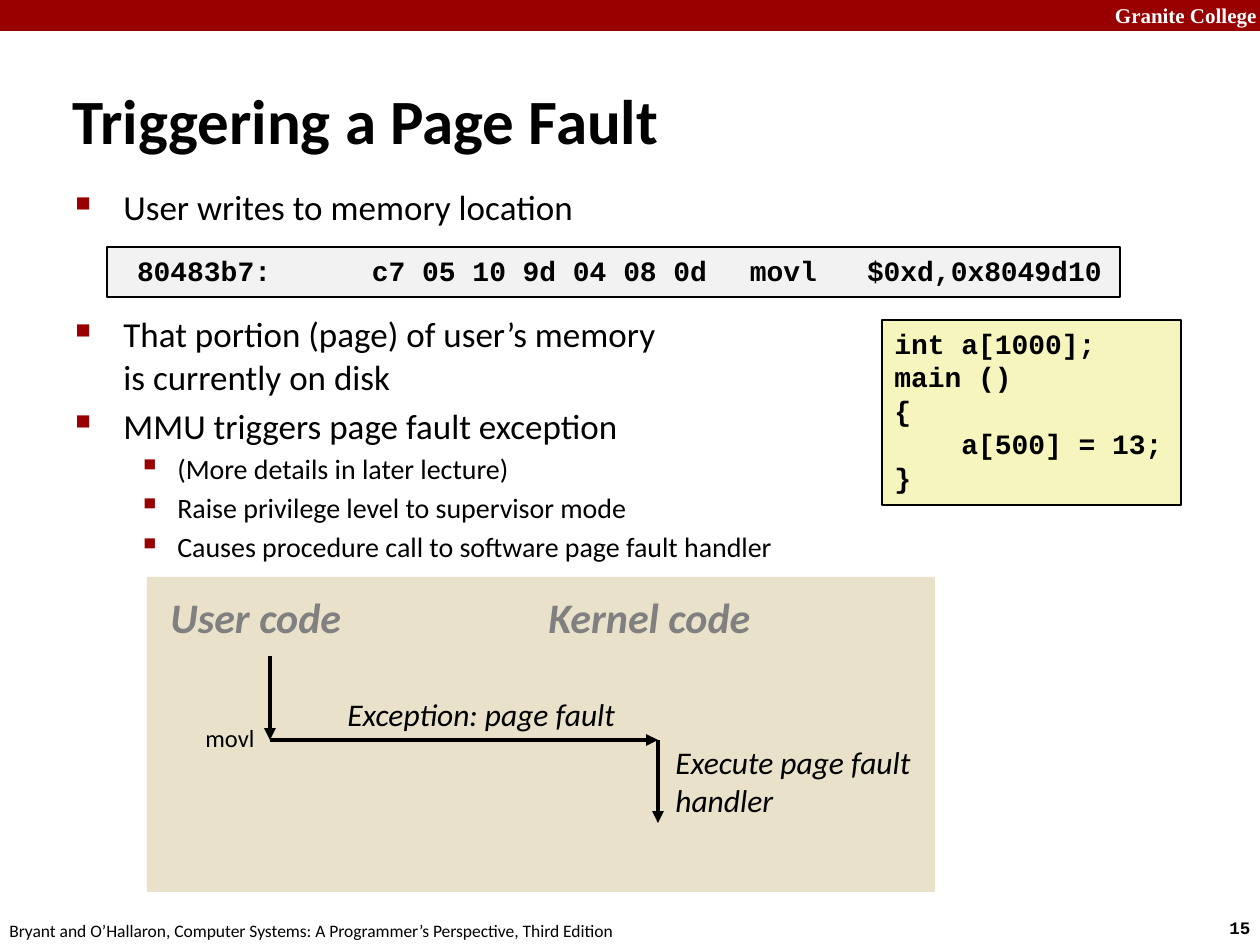
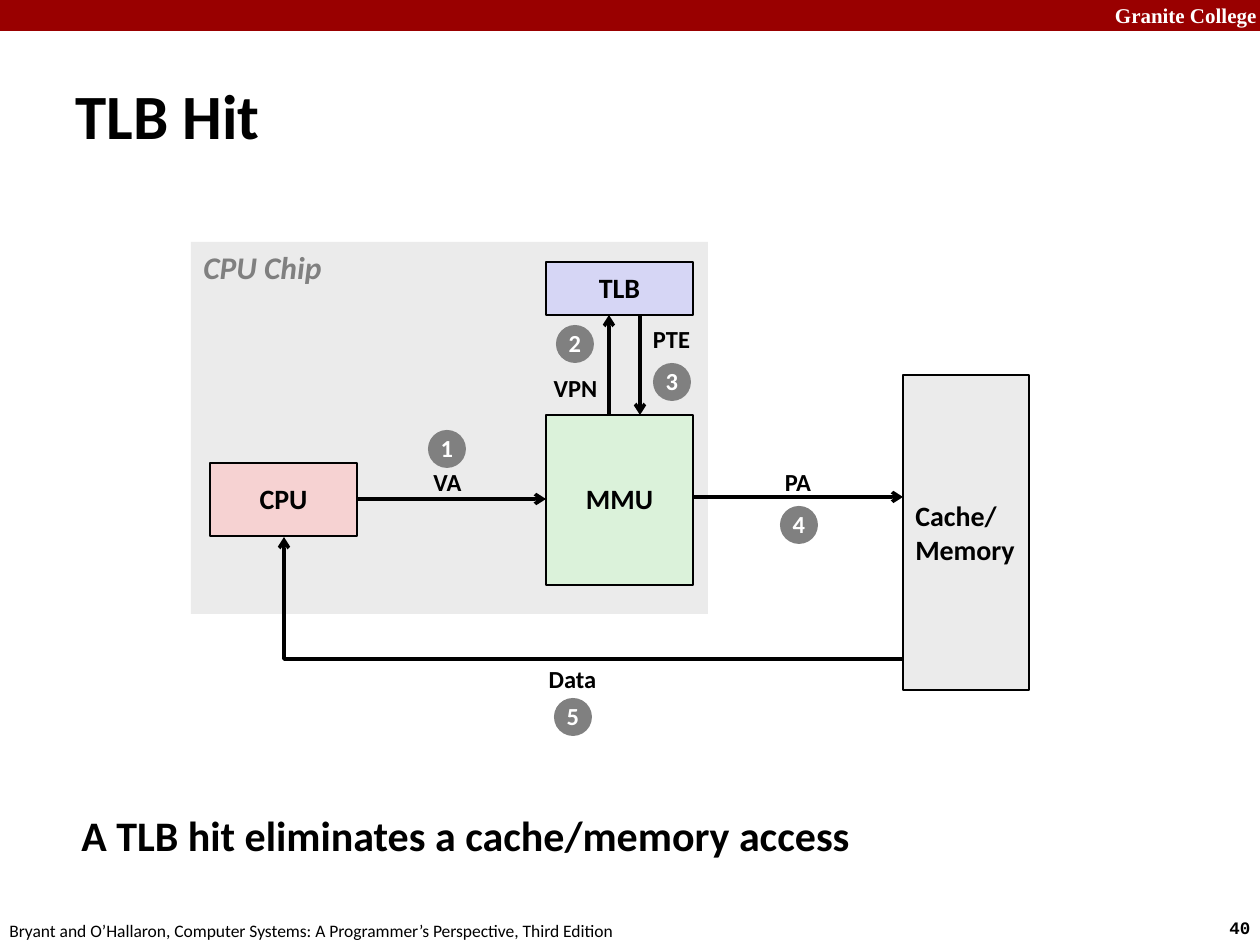
from dataclasses import dataclass
from typing import NamedTuple

from lxml.etree import SubElement
from pptx import Presentation
from pptx.dml.color import RGBColor
from pptx.enum.shapes import MSO_CONNECTOR as Conn, MSO_SHAPE as Form
from pptx.enum.text import MSO_ANCHOR as Anchor, PP_ALIGN as Align
from pptx.oxml.ns import qn
from pptx.util import Emu, Pt

HUES = {
    "red": "990000", "white": "FFFFFF", "black": "000000", "gray": "808080",
    "chip": "EBEBEB", "sand": "E9E1C9", "cream": "F6F5BD", "pale": "F2F2F2",
    "green": "DBF2DA", "pink": "F6D2D2", "blue": "D6D6F5",
}
SANS, MONO, SERIF = "Calibri", "Courier New", "Times New Roman"
FONTS = {
    "title": dict(name=SANS, size=Pt(36), bold=True),
    "brand": dict(name=SERIF, size=Pt(12), bold=True),
    "page": dict(name=MONO, size=Pt(10), bold=True),
    "foot": dict(name=SANS, size=Pt(10)),
    "point": dict(name=SANS, size=Pt(20)),
    "sub": dict(name=SANS, size=Pt(16)),
    "code": dict(name=MONO, size=Pt(16), bold=True),
    "zone": dict(name=SANS, size=Pt(24), bold=True, italic=True),
    "chip": dict(name=SANS, size=Pt(18), bold=True, italic=True),
    "step": dict(name=SANS, size=Pt(18), italic=True),
    "small": dict(name=SANS, size=Pt(14)),
    "tag": dict(name=SANS, size=Pt(14), bold=True),
    "part": dict(name=SANS, size=Pt(16), bold=True),
    "claim": dict(name=SANS, size=Pt(24), bold=True),
}
WIDE, HIGH = 1260, 945
PAD, DOT = 13, 38


@dataclass(frozen=True)
class Box:
    x: int
    y: int
    w: int
    h: int
    text: str = ""
    font: str = "part"
    ink: str = "black"
    fill: str = ""
    line: float = 0
    form: Form = Form.RECTANGLE
    mid: bool = False
    center: bool = False
    wrap: bool = False


class Arrow(NamedTuple):
    x1: int
    y1: int
    x2: int
    y2: int
    head: str = "arrow"
    width: float = 2


class Point(NamedTuple):
    text: str
    level: int = 0
    gap: float = 4


class Level(NamedTuple):
    font: str
    left: int
    hang: int
    mark: str
    scale: int


LEVELS = (Level("point", 48, 48, "■", 60), Level("sub", 102, 39, "▪", 110))


def px(n: int) -> Emu:
    return Emu(round(n * 914400 / 126))


def hue(name: str) -> RGBColor:
    return RGBColor.from_string(HUES[name])


def style(para, font: str, ink: str) -> None:
    for run in para.runs:
        for key, value in FONTS[font].items():
            setattr(run.font, key, value)
        run.font.color.rgb = hue(ink)


def draw(slide, box: Box):
    """Add a filled shape, or a text box when there is no fill."""
    place = [px(n) for n in (box.x, box.y, box.w, box.h)]
    if box.fill:
        shape = slide.shapes.add_shape(box.form, *place)
        shape.shadow.inherit = False
        shape.fill.solid()
        shape.fill.fore_color.rgb = hue(box.fill)
        if box.line:
            shape.line.color.rgb = hue("black")
            shape.line.width = Pt(box.line)
        else:
            shape.line.fill.background()
    else:
        shape = slide.shapes.add_textbox(*place)
    frame = shape.text_frame
    frame.word_wrap = box.wrap
    frame.vertical_anchor = Anchor.MIDDLE if box.mid else Anchor.TOP
    if box.text:
        frame.text = box.text
    for para in frame.paragraphs:
        para.alignment = Align.CENTER if box.center else Align.LEFT
        if box.center:
            para.line_spacing = 0.98
        style(para, box.font, box.ink)
    return shape


def link(slide, arrow: Arrow, kind: Conn = Conn.STRAIGHT):
    ends = [px(n) for n in arrow[:4]]
    line = slide.shapes.add_connector(kind, *ends)
    line.line.color.rgb = hue("black")
    line.line.width = Pt(arrow.width)
    SubElement(line.line._get_or_add_ln(), qn("a:tailEnd"), type=arrow.head)
    SubElement(line._element.spPr, qn("a:effectLst"))
    return line


def bend(slide, arrow: Arrow) -> None:
    """Draw a one-corner arrow that runs left from the lower right, then up."""
    line = link(slide, arrow, Conn.ELBOW)
    props = line._element.spPr
    props.find(qn("a:xfrm")).set("rot", "10800000")
    props.find(qn("a:prstGeom")).set("prst", "bentConnector2")


def indent(para, left: int, hang: int = 0):
    props = para._p.get_or_add_pPr()
    props.set("marL", str(px(left)))
    props.set("indent", str(-px(hang)))
    return props


def tabs(para, stops: tuple[int, ...]) -> None:
    group = SubElement(para._p.get_or_add_pPr(), qn("a:tabLst"))
    for stop in stops:
        SubElement(group, qn("a:tab"), pos=str(px(stop)), algn="l")


def bullets(slide, box: Box, points: list[Point]) -> None:
    frame = draw(slide, box).text_frame
    for i, point in enumerate(points):
        para = frame.add_paragraph() if i else frame.paragraphs[0]
        level = LEVELS[point.level]
        para.text = point.text
        para.level = point.level
        para.space_before = Pt(point.gap)
        style(para, level.font, "black")
        props = indent(para, level.left, level.hang)
        color = SubElement(props, qn("a:buClr"))
        SubElement(color, qn("a:srgbClr"), val=HUES["red"])
        SubElement(props, qn("a:buSzPct"), val=str(level.scale * 1000))
        SubElement(props, qn("a:buChar"), char=level.mark)


def start(deck, page: int, title: Box):
    """Add a slide with the band, page number, footer and title."""
    slide = deck.slides.add_slide(deck.slide_layouts[6])
    for box in (
        Box(0, 0, WIDE, 31, fill="red"),
        Box(1089, -4, 180, 38, "Granite College", "brand", "white", wrap=True),
        Box(1217, 911, 57, 34, str(page), "page"),
        Box(-3, 914, 640, 34, "Bryant and O’Hallaron, Computer Systems: "
            "A Programmer’s Perspective, Third Edition", "foot"),
        title,
    ):
        draw(slide, box)
    # The brand line ends at the right edge of the band.
    slide.shapes[1].text_frame.paragraphs[0].alignment = Align.RIGHT
    return slide


def fault(deck) -> None:
    slide = start(deck, 15, Box(60, 81, 1087, 77, "Triggering a Page Fault",
                                "title", mid=True, wrap=True))
    bullets(slide, Box(63, 179, 1124, 400, wrap=True), [
        Point("User writes to memory location"),
        Point("That portion (page) of user’s memory \nis currently on disk", gap=49),
        Point("MMU triggers page fault exception"),
        Point("(More details in later lecture)", 1, 3.2),
        Point("Raise privilege level to supervisor mode", 1, 3.2),
        Point("Causes procedure call to software page fault handler", 1, 3.2),
    ])
    source = draw(slide, Box(882, 320, 299, 185,
                             "int a[1000];\nmain ()\n{\na[500] = 13;\n}",
                             "code", fill="cream", line=1, wrap=True))
    indent(source.text_frame.paragraphs[3], 67)
    code = draw(slide, Box(107, 247, 1013, 50,
                           "80483b7:\tc7 05 10 9d 04 08 0d\tmovl\t$0xd,0x8049d10",
                           "code", fill="pale", line=1, wrap=True))
    code.text_frame.margin_left = px(30)
    tabs(code.text_frame.paragraphs[0], (235, 613, 730))

    draw(slide, Box(147, 577, 788, 315, fill="sand"))
    for x, w, text in ((158, 208, "User code"), (536, 241, "Kernel code")):
        draw(slide, Box(x, 585, w, 63, text, "zone", "gray"))
    user, kernel, trap = 270, 658, 740
    for ends in ((user, 656, user, trap), (user, trap, kernel, trap),
                 (kernel, trap, kernel, 823)):
        link(slide, Arrow(*ends, head="triangle", width=2.25))
    for box in (
        Box(335, 689, 305, 50, "Exception: page fault", "step"),
        Box(663, 737, 272, 88, "Execute page fault handler", "step", wrap=True),
        Box(193, 717, 76, 43, "movl", "small"),
    ):
        draw(slide, box)


def hit(deck) -> None:
    slide = start(deck, 40, Box(63, 60, 1197, 108, "TLB Hit",
                                "title", mid=True, wrap=True))
    draw(slide, Box(191, 242, 517, 372, fill="chip"))
    draw(slide, Box(191, 242, 146, 50, "CPU Chip", "chip", "gray"))
    for x, y, h, text, fill in (
        (546, 415, 170, "MMU", "green"),
        (210, 463, 73, "CPU", "pink"),
        (546, 262, 53, "TLB", "blue"),
    ):
        draw(slide, Box(x, y, 147, h, text, fill=fill, line=1,
                        mid=True, center=True))
    draw(slide, Box(903, 375, 126, 315, "Cache/\nMemory", fill="chip",
                    line=1.5, mid=True))

    for arrow in (
        Arrow(358, 499, 546, 499), Arrow(693, 497, 903, 497),
        Arrow(609, 415, 609, 315), Arrow(640, 315, 640, 415),
    ):
        link(slide, arrow)
    bend(slide, Arrow(284, 537, 903, 659))

    for x, y, w, text in (
        (421, 462, 53, "VA"), (772, 462, 52, "PA"), (536, 659, 73, "Data"),
        (541, 368, 69, "VPN"), (640, 319, 63, "PTE"),
    ):
        draw(slide, Box(x, y, w, 42, text, "tag", mid=True, center=True))
    spots = ((428, 430), (556, 325), (653, 363), (780, 506), (554, 698))
    for step, (x, y) in enumerate(spots, 1):
        draw(slide, Box(x, y, DOT, DOT, str(step), "tag", "white", "gray",
                        form=Form.OVAL, mid=True, center=True))
    claim = draw(slide, Box(69, 803, 990, 79,
                            "A TLB hit eliminates a cache/memory access",
                            "claim", wrap=True))
    claim.text_frame.paragraphs[0].space_before = Pt(4.8)


def main() -> None:
    deck = Presentation()
    deck.slide_width, deck.slide_height = px(WIDE), px(HIGH)
    fault(deck)
    hit(deck)
    deck.save("out.pptx")


if __name__ == "__main__":
    main()
